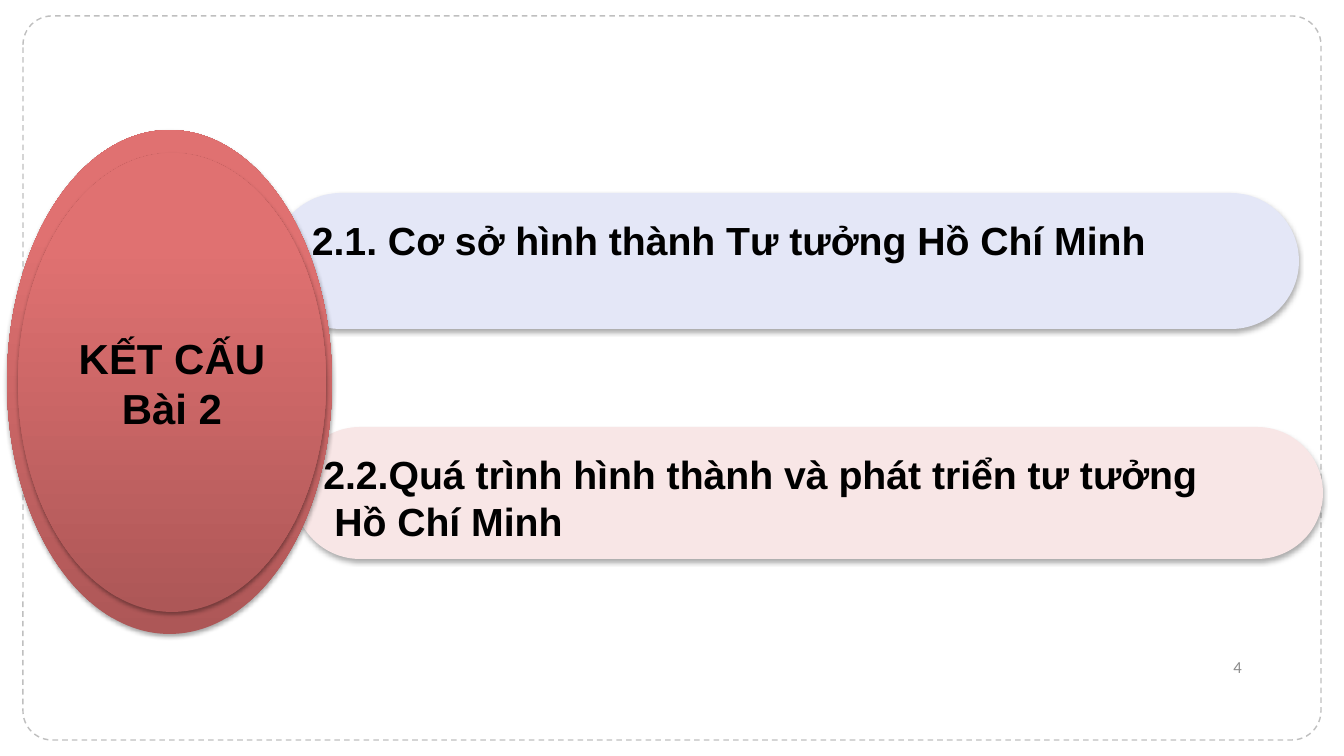
import dataclasses
import typing

import lxml.etree
import pptx
import pptx.dml.color
import pptx.enum.dml
import pptx.enum.shapes
import pptx.enum.text
import pptx.oxml
import pptx.oxml.ns
import pptx.util

PX = 914400 / 100.8
SHAPE = pptx.enum.shapes.MSO_SHAPE
ALIGN = pptx.enum.text.PP_ALIGN
ANCHOR = pptx.enum.text.MSO_ANCHOR


@dataclasses.dataclass(frozen=True)
class Theme:
    font: str = "Arial"
    number_font: str = "Calibri"
    text: str = "000000"
    number: str = "8C8C8C"
    frame: str = "BFBFBF"
    red_stops: tuple = ((0, "AD5757"), (80, "E07171"), (100, "E37070"))
    bar_blue: str = "E4E7F7"
    bar_pink: str = "F8E6E6"
    title_size: int = 30
    bar_size: int = 28
    number_size: int = 12


class Box(typing.NamedTuple):
    left: int
    top: int
    width: int
    height: int


class Shadow(typing.NamedTuple):
    alpha: int
    blur: float
    dist: float


class Line(typing.NamedTuple):
    text: str
    indent: int = 0


class Bar(typing.NamedTuple):
    box: Box
    color: str
    inset: int
    lines: tuple[Line, ...]


THEME = Theme()
BAR_SHADOW = Shadow(32, 3.5, 2.2)
OVAL_SHADOW = Shadow(35, 3.1, 1.8)
FRAME = Box(23, 16, 1298, 724)
OVALS = (Box(7, 130, 325, 504), Box(18, 153, 308, 459))
TITLE = Box(63, 220, 218, 325)
NUMBER = Box(950, 634, 302, 66)
BARS = (
    Bar(Box(273, 193, 1026, 136), THEME.bar_blue, 39,
        (Line("2.1. Cơ sở hình thành Tư tưởng Hồ Chí Minh"),)),
    Bar(Box(294, 427, 1029, 132), THEME.bar_pink, 29,
        (Line("2.2.Quá trình hình thành và phát triển tư tưởng"),
         Line("Hồ Chí Minh", 11))),
)


def px(n: float) -> int:
    return round(n * PX)


def rgb(color: str):
    return pptx.dml.color.RGBColor.from_string(color)


def apply(target, values: dict) -> None:
    for name, value in values.items():
        setattr(target, name, value)


def emu(box: Box) -> list[int]:
    return [px(n) for n in box]


def add_shape(s, kind, box: Box):
    sp = s.shapes.add_shape(kind, *emu(box))
    sp.shadow.inherit = False
    sp.fill.background()
    sp.line.fill.background()
    return sp


def add_shadow(sp, shadow: Shadow) -> None:
    effects = sp.element.spPr.find(pptx.oxml.ns.qn("a:effectLst"))
    effects.append(pptx.oxml.parse_xml(
        f'<a:outerShdw {pptx.oxml.ns.nsdecls("a")} blurRad="{pptx.util.Pt(shadow.blur)}" '
        f'dist="{pptx.util.Pt(shadow.dist)}" dir="5400000" rotWithShape="0">'
        f'<a:srgbClr val="000000"><a:alpha val="{shadow.alpha * 1000}"/></a:srgbClr>'
        '</a:outerShdw>'))


def fill_gradient(sp, stops: tuple) -> None:
    sp.fill.gradient()
    sp.fill.gradient_angle = 90
    stop_list = sp.element.spPr.find(".//" + pptx.oxml.ns.qn("a:gsLst"))
    for old in list(stop_list):
        stop_list.remove(old)
    for pos, color in stops:
        gs = lxml.etree.SubElement(stop_list, pptx.oxml.ns.qn("a:gs"), pos=str(pos * 1000))
        lxml.etree.SubElement(gs, pptx.oxml.ns.qn("a:srgbClr"), val=color)


def write(tf, lines: tuple[Line, ...], frame: dict, font: dict, color: str, align) -> None:
    apply(tf, {"word_wrap": True, "auto_size": pptx.enum.text.MSO_AUTO_SIZE.NONE} | frame)
    for i, line in enumerate(lines):
        p = tf.add_paragraph() if i else tf.paragraphs[0]
        p.alignment = align
        if line.indent:
            p._p.get_or_add_pPr().set("marL", str(px(line.indent)))
        r = p.add_run()
        r.text = line.text
        apply(r.font, font)
        r.font.color.rgb = rgb(color)


def draw_frame(s) -> None:
    sp = add_shape(s, SHAPE.ROUNDED_RECTANGLE, FRAME)
    sp.adjustments[0] = 0.04
    sp.line.color.rgb = rgb(THEME.frame)
    apply(sp.line, {"width": pptx.util.Pt(1),
                    "dash_style": pptx.enum.dml.MSO_LINE.DASH})


def draw_bar(s, bar: Bar) -> None:
    sp = add_shape(s, SHAPE.ROUNDED_RECTANGLE, bar.box)
    sp.adjustments[0] = 0.5
    sp.fill.solid()
    sp.fill.fore_color.rgb = rgb(bar.color)
    add_shadow(sp, BAR_SHADOW)
    frame = {"vertical_anchor": ANCHOR.TOP, "margin_left": px(bar.inset),
             "margin_top": px(23), "margin_right": 0, "margin_bottom": 0}
    font = {"name": THEME.font, "size": pptx.util.Pt(THEME.bar_size), "bold": True}
    geometry_inset = round(min(bar.box.width, bar.box.height) * 0.5 * 0.29)
    frame["margin_left"] = px(bar.inset - geometry_inset)
    frame["margin_top"] = px(23 - geometry_inset)
    write(sp.text_frame, bar.lines, frame, font, THEME.text, ALIGN.LEFT)


def draw_oval(s, box: Box) -> None:
    sp = add_shape(s, SHAPE.OVAL, box)
    fill_gradient(sp, THEME.red_stops)
    add_shadow(sp, OVAL_SHADOW)


def draw_title(s) -> None:
    sp = s.shapes.title
    apply(sp, dict(zip(("left", "top", "width", "height"), emu(TITLE))))
    sp.element.getparent().append(sp.element)
    font = {"name": THEME.font, "size": pptx.util.Pt(THEME.title_size), "bold": True}
    write(sp.text_frame, (Line("KẾT CẤU Bài 2"),), {"vertical_anchor": ANCHOR.MIDDLE},
          font, THEME.text, ALIGN.CENTER)


def draw_number(s) -> None:
    tf = s.shapes.add_textbox(*emu(NUMBER)).text_frame
    font = {"name": THEME.number_font, "size": pptx.util.Pt(THEME.number_size)}
    write(tf, (Line("4"),), {"vertical_anchor": ANCHOR.MIDDLE}, font,
          THEME.number, ALIGN.RIGHT)


def main() -> None:
    prs = pptx.Presentation()
    apply(prs, {"slide_width": px(1344), "slide_height": px(756)})
    s = prs.slides.add_slide(prs.slide_layouts[5])
    draw_frame(s)
    for bar in BARS:
        draw_bar(s, bar)
    for oval in OVALS:
        draw_oval(s, oval)
    draw_title(s)
    draw_number(s)
    prs.save("out.pptx")


if __name__ == "__main__":
    main()
